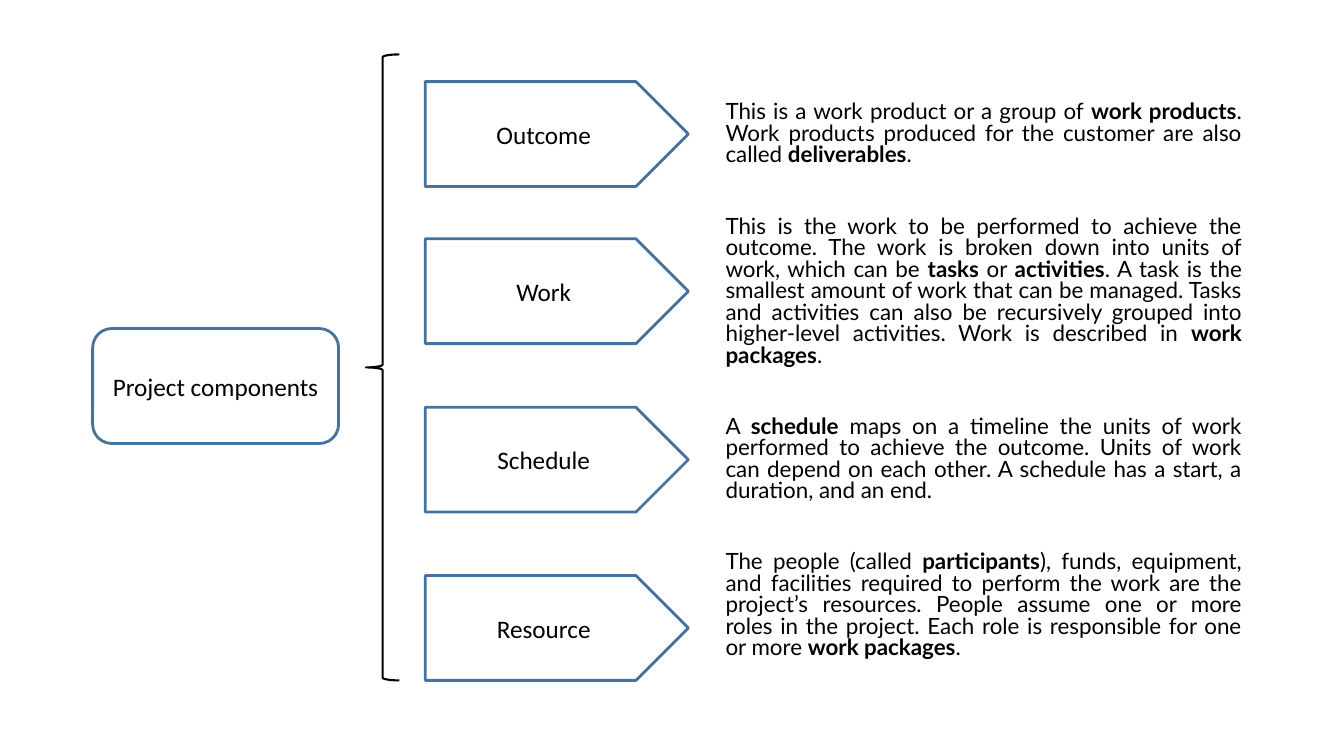
import dataclasses

import pptx
import pptx.dml.color
import pptx.enum.shapes
import pptx.enum.text
import pptx.util

Pt = pptx.util.Pt
SHAPES = pptx.enum.shapes.MSO_SHAPE
ALIGN = pptx.enum.text.PP_ALIGN
ANCHOR = pptx.enum.text.MSO_ANCHOR


@dataclasses.dataclass(frozen=True)
class Theme:
    paper: str = "FFFFFF"
    ink: str = "000000"
    outline: str = "43739E"
    outline_width: float = 2
    brace_width: float = 1.5
    label_font: str = "Calibri"
    label_size: float = 18
    body_font: str = "Lato"
    body_size: float = 16
    body_leading: float = 0.8
    body_gap: float = 35.4


@dataclasses.dataclass(frozen=True)
class Box:
    left: float
    top: float
    width: float
    height: float

    def lengths(self):
        return [Pt(value) for value in dataclasses.astuple(self)]


THEME = Theme()

# Component name, top of its arrow, and description as (text, bold) spans
COMPONENTS = [
    ("Outcome", 58.3, [
        ("This is a work product or a group of ", False),
        ("work products", True),
        (". Work products produced for the customer are also called ", False),
        ("deliverables", True),
        (".", False),
    ]),
    ("Work", 170.6, [
        ("This is the work to be performed to achieve the outcome. The work is "
         "broken down into units of work, which can be ", False),
        ("tasks", True),
        (" or ", False),
        ("activities", True),
        (". A task is the smallest amount of work that can be managed. Tasks and "
         "activities can also be recursively grouped into higher-level "
         "activities. Work is described in ", False),
        ("work packages", True),
        (".", False),
    ]),
    ("Schedule", 290.9, [
        ("A ", False),
        ("schedule", True),
        (" maps on a timeline the units of work performed to achieve the outcome. "
         "Units of work can depend on each other. A schedule has a start, a "
         "duration, and an end.", False),
    ]),
    ("Resource", 411.1, [
        ("The people (called ", False),
        ("participants", True),
        ("), funds, equipment, and facilities required to perform the work are "
         "the project’s resources. People assume one or more roles in the "
         "project. Each role is responsible for one or more ", False),
        ("work packages", True),
        (".", False),
    ]),
]


def color(code):
    return pptx.dml.color.RGBColor.from_string(code)


def add_span(para, text, font, size, bold=False):
    span = para.add_run()
    span.text = text
    span.font.name = font
    span.font.size = Pt(size)
    span.font.bold = bold
    span.font.color.rgb = color(THEME.ink)


def add_labelled_shape(page, kind, box, label):
    shape = page.shapes.add_shape(kind, *box.lengths())
    shape.shadow.inherit = False
    shape.fill.solid()
    shape.fill.fore_color.rgb = color(THEME.paper)
    shape.line.color.rgb = color(THEME.outline)
    shape.line.width = Pt(THEME.outline_width)
    frame = shape.text_frame
    frame.word_wrap = True
    frame.vertical_anchor = ANCHOR.MIDDLE
    para = frame.paragraphs[0]
    para.alignment = ALIGN.CENTER
    add_span(para, label, THEME.label_font, THEME.label_size)


def add_brace(page, box):
    brace = page.shapes.add_shape(SHAPES.LEFT_BRACE, *box.lengths())
    brace.shadow.inherit = False
    brace.fill.background()
    brace.line.color.rgb = color(THEME.ink)
    brace.line.width = Pt(THEME.brace_width)


def add_arrows(page, box, arrow_height):
    for name, top, _ in COMPONENTS:
        arrow = Box(box.left, top, box.width, arrow_height)
        add_labelled_shape(page, SHAPES.PENTAGON, arrow, name)


def add_descriptions(page, box, top_inset):
    frame = page.shapes.add_textbox(*box.lengths()).text_frame
    frame.word_wrap = True
    frame.margin_top = Pt(top_inset)
    for index, (_, _, spans) in enumerate(COMPONENTS):
        para = frame.add_paragraph() if index else frame.paragraphs[0]
        para.alignment = ALIGN.JUSTIFY
        para.line_spacing = THEME.body_leading
        para.space_before = Pt(THEME.body_gap if index else 0)
        for text, bold in spans:
            add_span(para, text, THEME.body_font, THEME.body_size, bold)


def build_components_page(deck):
    page = deck.slides.add_slide(deck.slide_layouts[6])
    add_descriptions(page, Box(511.2, 44.6, 383, 462.2), top_inset=28.8)
    add_labelled_shape(page, SHAPES.ROUNDED_RECTANGLE,
                       Box(66.2, 234.7, 175.7, 82.1), "Project components")
    add_arrows(page, Box(303.8, 58.3, 187.9, 427.7), arrow_height=74.9)
    add_brace(page, Box(261.4, 38.9, 23.8, 447.1))


def main():
    deck = pptx.Presentation()
    deck.slide_width = Pt(960)
    deck.slide_height = Pt(540)
    build_components_page(deck)
    deck.save("out.pptx")


if __name__ == "__main__":
    main()
